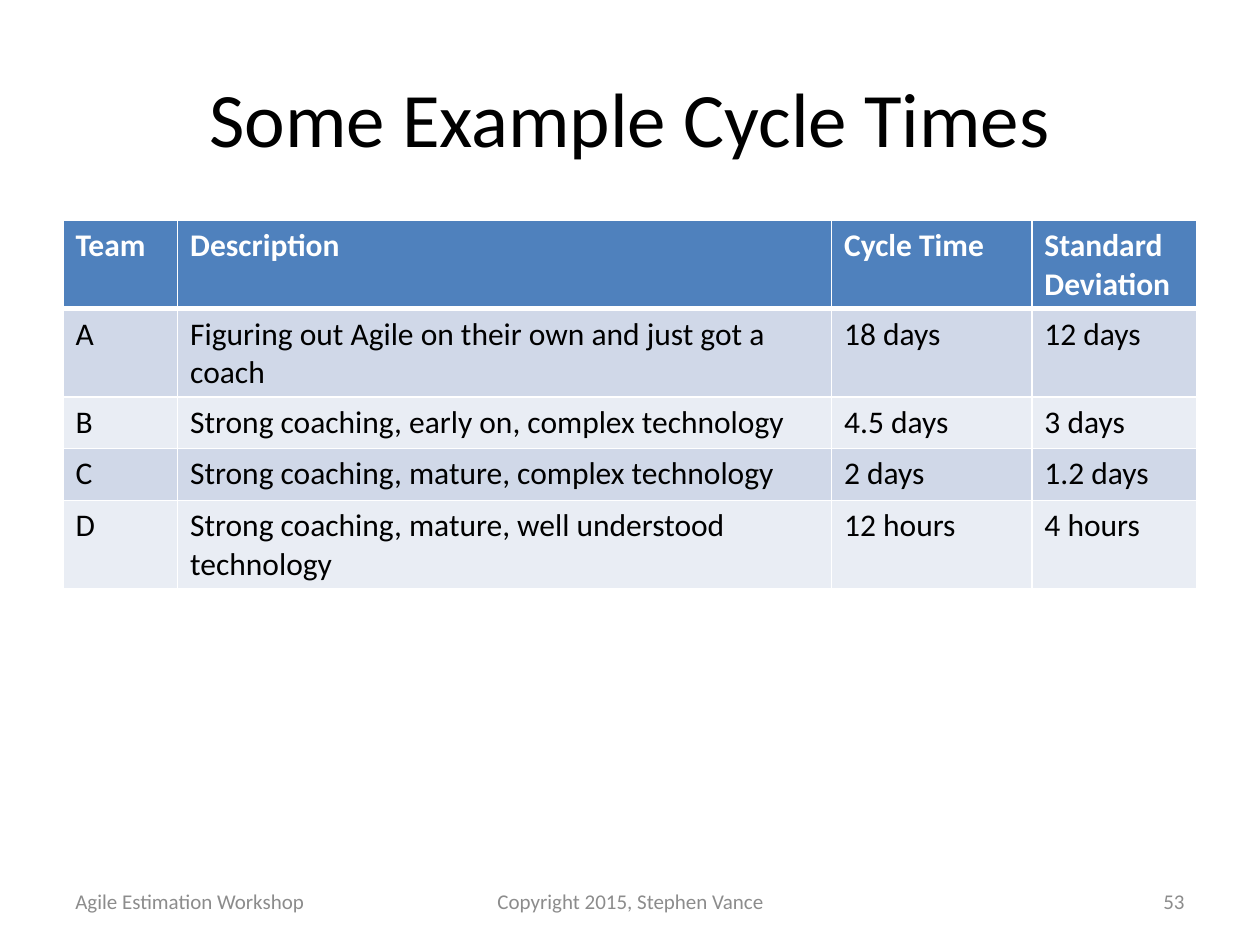
from lxml.etree import SubElement
from pptx import Presentation
from pptx.dml.color import RGBColor
from pptx.enum.text import MSO_ANCHOR, PP_ALIGN as ALIGN
from pptx.oxml.ns import qn
from pptx.util import Inches, Pt

BLACK = RGBColor(0x00, 0x00, 0x00)
WHITE = RGBColor(0xFF, 0xFF, 0xFF)
GRAY = RGBColor(0x8C, 0x8C, 0x8C)
BLUE = RGBColor(0x4F, 0x81, 0xBD)
BANDS = (RGBColor(0xD0, 0xD8, 0xE8), RGBColor(0xE9, 0xED, 0xF4))

COLUMN_WIDTHS = (0.91, 5.19, 1.59, 1.31)
ROW_HEIGHT = 0.41
ROWS = (
    ("Team", "Description", "Cycle Time", "Standard\nDeviation"),
    ("A", "Figuring out Agile on their own and just got a coach", "18 days", "12 days"),
    ("B", "Strong coaching, early on, complex technology", "4.5 days", "3 days"),
    ("C", "Strong coaching, mature, complex technology", "2 days", "1.2 days"),
    ("D", "Strong coaching, mature, well understood technology", "12 hours", "4 hours"),
)
FOOTERS = (
    ("Agile Estimation Workshop", 0.5, 2.33, ALIGN.LEFT),
    ("Copyright 2015, Stephen Vance", 3.42, 3.17, ALIGN.CENTER),
    ("53", 7.17, 2.33, ALIGN.RIGHT),
)


class SlideBuilder:
    font_name = "Calibri"

    def __init__(self, prs):
        self.s = prs.slides.add_slide(prs.slide_layouts[6])

    def style(self, tf, size, color, align=ALIGN.LEFT, bold=False):
        for p in tf.paragraphs:
            p.alignment = align
            p.font.name = self.font_name
            p.font.size = Pt(size)
            p.font.bold = bold
            p.font.color.rgb = color

    def text(self, text, x, y, w, h, size, color, align):
        tf = self.s.shapes.add_textbox(Inches(x), Inches(y), Inches(w), Inches(h)).text_frame
        tf.word_wrap = True
        tf.vertical_anchor = MSO_ANCHOR.MIDDLE
        tf.text = text
        self.style(tf, size, color, align)

    def borders(self, cell, **widths):
        """Draw white cell borders; widths maps L, R, T and B to points."""
        tc_pr = cell._tc.get_or_add_tcPr()
        for side, width in widths.items():
            ln = SubElement(tc_pr, qn(f"a:ln{side}"), w=str(Pt(width)))
            fill = SubElement(ln, qn("a:solidFill"))
            SubElement(fill, qn("a:srgbClr"), val=str(WHITE))

    def table(self, rows, x, y, widths, row_height):
        table = self.s.shapes.add_table(
            len(rows), len(widths), Inches(x), Inches(y),
            Inches(sum(widths)), Inches(row_height * len(rows))).table
        for column, width in zip(table.columns, widths):
            column.width = Inches(width)
        for i, row in enumerate(rows):
            table.rows[i].height = Inches(row_height)
            header = i == 0
            for j, text in enumerate(row):
                cell = table.cell(i, j)
                cell.text = text
                self.borders(cell, L=1, R=1, T=3 if i == 1 else 1, B=3 if header else 1)
                cell.fill.solid()
                cell.fill.fore_color.rgb = BLUE if header else BANDS[(i - 1) % 2]
                self.style(cell.text_frame, 18, WHITE if header else BLACK, bold=header)


def main():
    prs = Presentation()
    prs.slide_width, prs.slide_height = Inches(10), Inches(7.5)
    slide = SlideBuilder(prs)
    slide.text("Some Example Cycle Times", 0.5, 0.3, 9, 1.25, 44, BLACK, ALIGN.CENTER)
    slide.table(ROWS, 0.5, 1.75, COLUMN_WIDTHS, ROW_HEIGHT)
    for text, x, width, align in FOOTERS:
        slide.text(text, x, 6.95, width, 0.4, 12, GRAY, align)
    prs.save("out.pptx")


if __name__ == "__main__":
    main()
